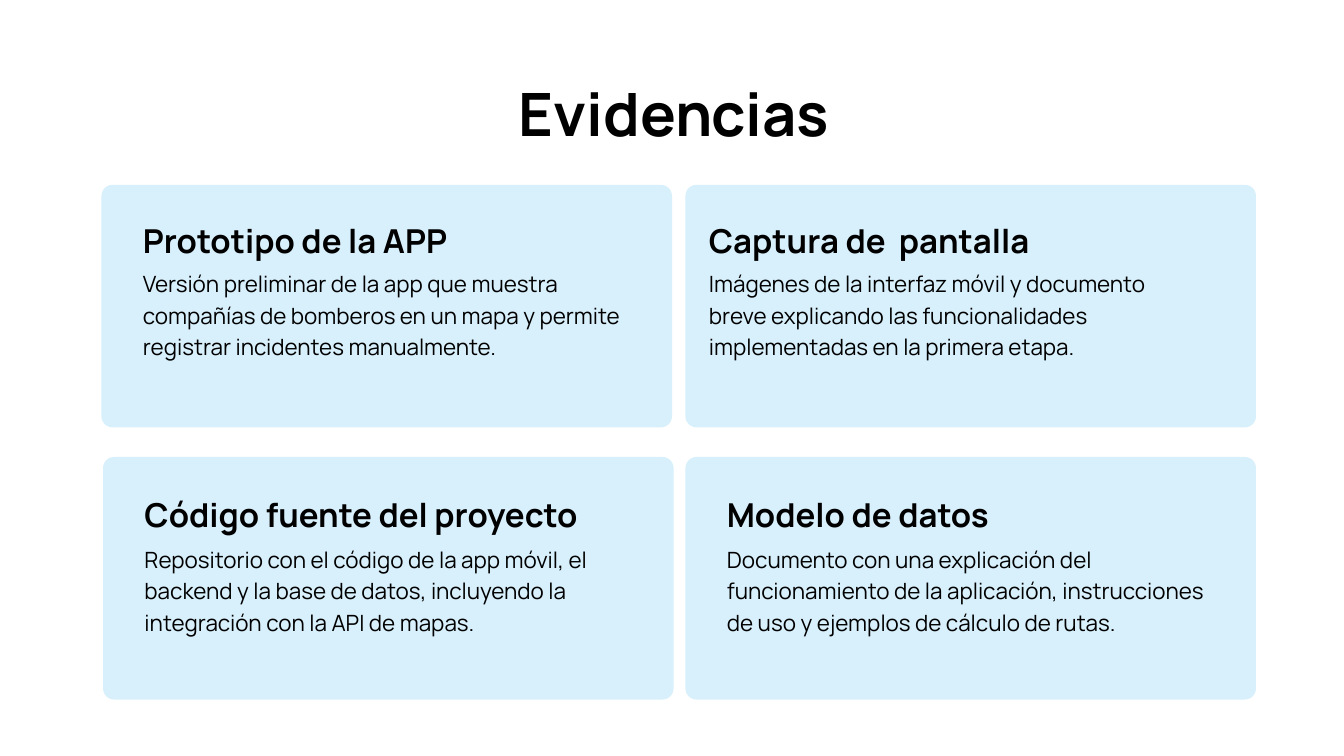
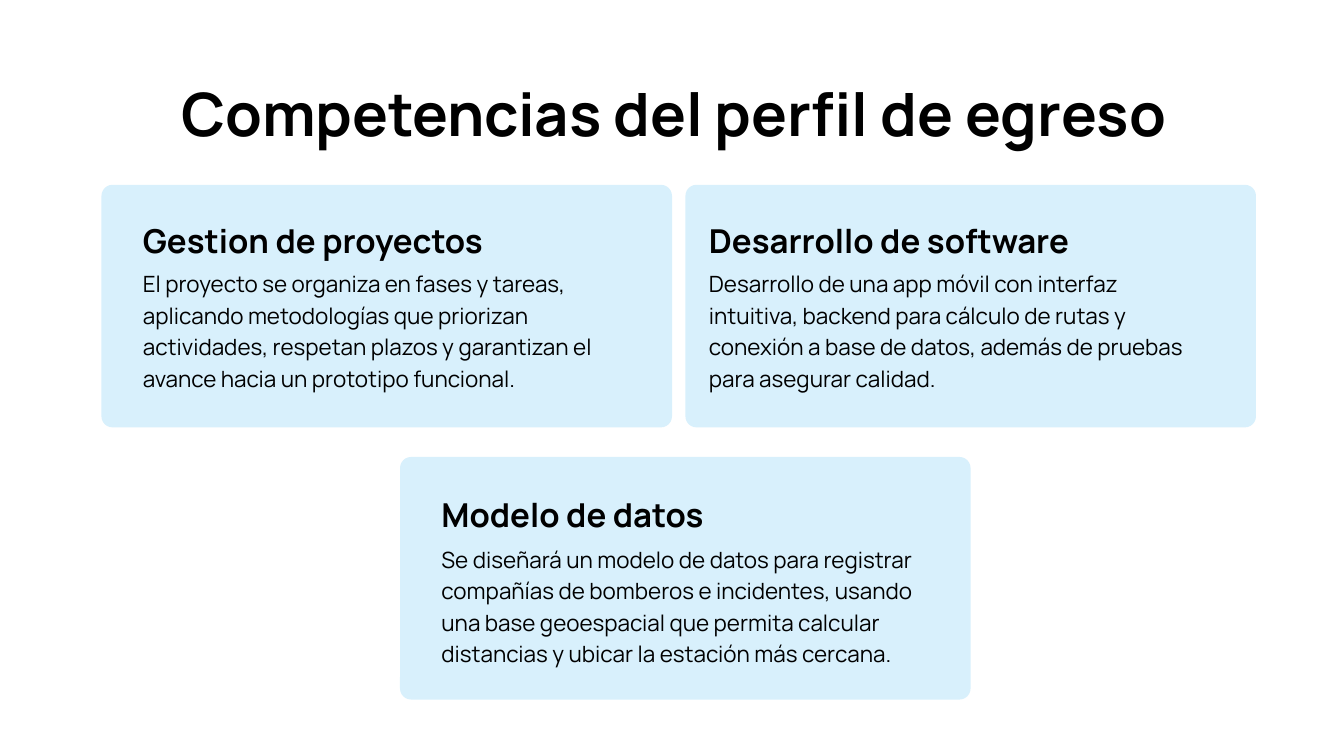
from pptx import Presentation
from pptx.dml.color import RGBColor
from pptx.enum.shapes import MSO_SHAPE
from pptx.enum.text import MSO_ANCHOR, MSO_AUTO_SIZE, PP_ALIGN
from pptx.util import Pt

COLORS = {"background": "FFFFFF", "card": "D8F0FC", "text": "000000"}
FONT = "Manrope"
CARD_W, CARD_H, CARD_RADIUS = 611.3, 259.9, 11.9
HEADING_W, HEADING_H = 520.6, 59
BODY_W, BODY_LINE_H = 531.4, 33.12
INDENT, NARROW_INDENT = 44.4, 25.2
LEFT, LOWER_LEFT, CENTER, RIGHT = 108.7, 110.4, 428.6, 734.4
TOP_ROW = {"card": 198, "heading": 216, "body": 285.1}
BOTTOM_ROW = {"card": 489.6, "heading": 509.8, "body": 580.3}

SLIDES = [
    ("Evidencias", [
        (LEFT, TOP_ROW, INDENT, "Prototipo de la APP", 3,
         "Versión preliminar de la app que muestra compañías de bomberos en un mapa "
         "y permite registrar incidentes manualmente."),
        (RIGHT, TOP_ROW, NARROW_INDENT, "Captura de  pantalla", 3,
         "Imágenes de la interfaz móvil y documento breve explicando las "
         "funcionalidades implementadas en la primera etapa."),
        (LOWER_LEFT, BOTTOM_ROW, INDENT, "Código fuente del proyecto", 3,
         "Repositorio con el código de la app móvil, el backend y la base de datos, "
         "incluyendo la integración con la API de mapas."),
        (RIGHT, BOTTOM_ROW, INDENT, "Modelo de datos", 4,
         "Documento con una explicación del funcionamiento de la aplicación, "
         "instrucciones de uso y ejemplos de cálculo de rutas."),
    ]),
    ("Competencias del perfil de egreso", [
        (LEFT, TOP_ROW, INDENT, "Gestion de proyectos", 4,
         "El proyecto se organiza en fases y tareas, aplicando metodologías que "
         "priorizan actividades, respetan plazos y garantizan el avance hacia un "
         "prototipo funcional."),
        (RIGHT, TOP_ROW, NARROW_INDENT, "Desarrollo de software", 4,
         "Desarrollo de una app móvil con interfaz intuitiva, backend para cálculo "
         "de rutas y conexión a base de datos, además de pruebas para asegurar calidad."),
        (CENTER, BOTTOM_ROW, INDENT, "Modelo de datos", 5,
         "Se diseñará un modelo de datos para registrar compañías de bomberos e "
         "incidentes, usando una base geoespacial que permita calcular distancias y "
         "ubicar la estación más cercana."),
    ]),
]


class Deck:
    def __init__(self):
        self.prs = Presentation()
        self.prs.slide_width, self.prs.slide_height = Pt(1440), Pt(810)
        self.s = None

    def color(self, name):
        return RGBColor.from_string(COLORS[name])

    def slide(self, title):
        self.s = self.prs.slides.add_slide(self.prs.slide_layouts[5])
        fill = self.s.background.fill
        fill.solid()
        fill.fore_color.rgb = self.color("background")
        sp = self.s.shapes.title
        sp.left, sp.top, sp.width, sp.height = Pt(113.8), Pt(90), Pt(1216), Pt(75.6)
        self.set_text(sp, title, 64, 69.1, True, PP_ALIGN.CENTER)

    def set_text(self, sp, text, size, spacing, bold=False, align=PP_ALIGN.LEFT):
        tf = sp.text_frame
        tf.text = text
        tf.word_wrap = True
        tf.auto_size = MSO_AUTO_SIZE.NONE
        tf.vertical_anchor = MSO_ANCHOR.TOP
        tf.margin_left = tf.margin_top = tf.margin_right = tf.margin_bottom = 0
        p = tf.paragraphs[0]
        p.alignment = align
        p.line_spacing = Pt(spacing)
        r = p.runs[0]
        r.font.name, r.font.size, r.font.bold = FONT, Pt(size), bold
        r.font.color.rgb = self.color("text")

    def text(self, x, y, w, h, *style):
        self.set_text(self.s.shapes.add_textbox(Pt(x), Pt(y), Pt(w), Pt(h)), *style)

    def panel(self, x, y):
        sp = self.s.shapes.add_shape(MSO_SHAPE.ROUNDED_RECTANGLE,
                                     Pt(x), Pt(y), Pt(CARD_W), Pt(CARD_H))
        sp.adjustments[0] = CARD_RADIUS / CARD_H
        sp.shadow.inherit = False
        sp.fill.solid()
        sp.fill.fore_color.rgb = self.color("card")
        sp.line.fill.background()

    def card(self, x, row, indent, heading, lines, body):
        self.panel(x, row["card"])
        self.text(x + indent, row["body"], BODY_W, lines * BODY_LINE_H, body, 24, 33.6)
        self.text(x + indent, row["heading"], HEADING_W, HEADING_H,
                  heading, 35.3, 62.5, True)


def main():
    deck = Deck()
    for title, cards in SLIDES:
        deck.slide(title)
        for card in cards:
            deck.card(*card)
    deck.prs.save("out.pptx")


if __name__ == "__main__":
    main()
